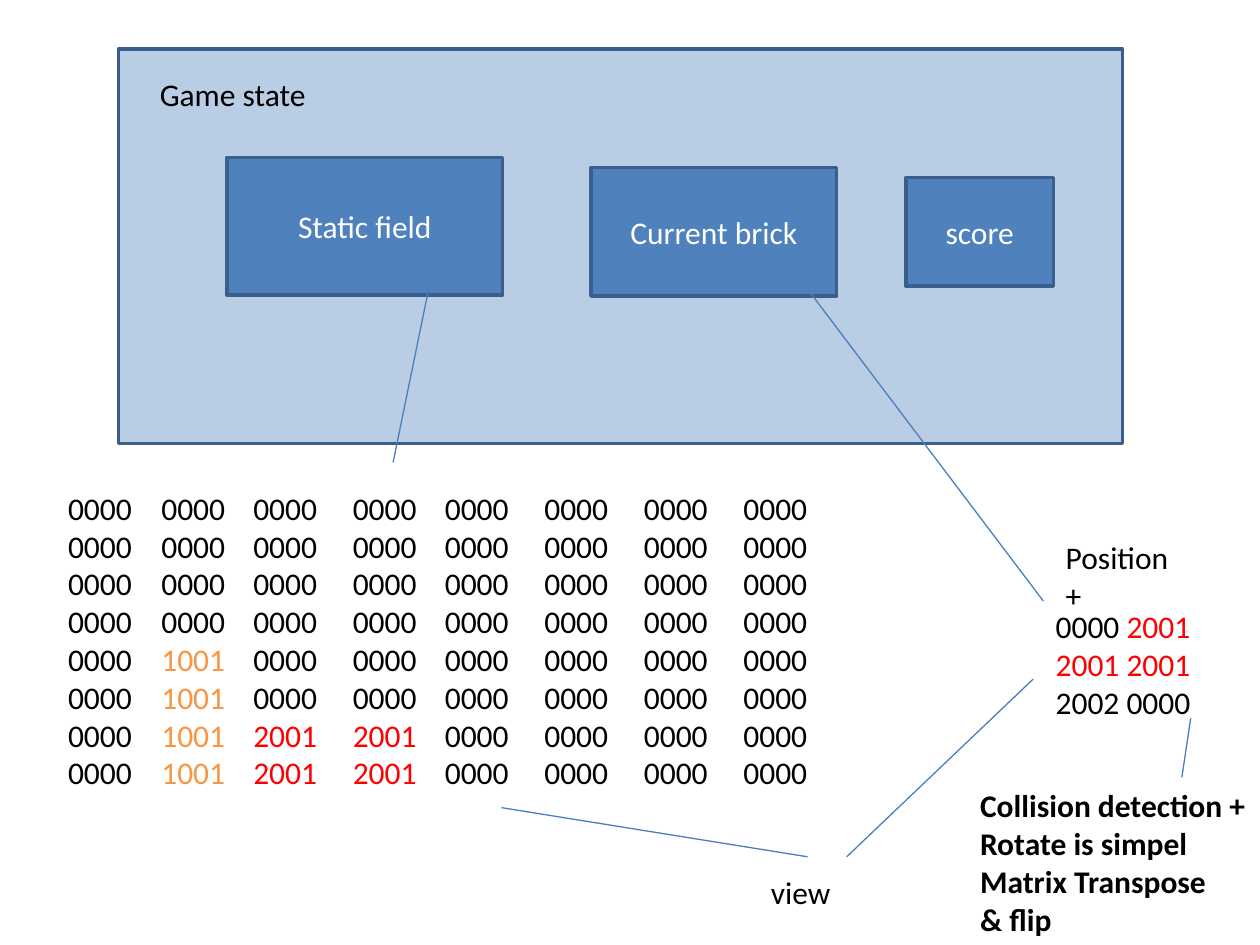
from pptx import Presentation
from pptx import util as u
from pptx.dml.color import RGBColor
from pptx.enum import shapes, text
from pptx.oxml.ns import qn
from lxml import etree

BLACK, WHITE, RED, ORANGE = "000000", "FFFFFF", "FF0000", "F79646"
PANEL, BOX, BORDER, LINK = "B9CDE5", "4F81BD", "3A5F8C", "4B7EBC"


def color(value):
    """Turn a hex string into a colour."""
    return RGBColor.from_string(value)


def child(parent, tag, **attributes):
    """Append an XML element with attributes."""
    element = etree.SubElement(parent, qn(tag))
    for name, value in attributes.items():
        element.set(name, str(value))
    return element


def write(paragraph, content, fill=BLACK, bold=False, size=18, font="Calibri"):
    """Add formatted text; a newline becomes a line break."""
    for index, line in enumerate(content.split("\n")):
        if index:
            paragraph.add_line_break()
        run = paragraph.add_run()
        run.text = line
        run.font.name = font
        run.font.size = u.Pt(size)
        run.font.bold = bold
        run.font.color.rgb = color(fill)


def hang(paragraph, indent, start=None):
    """Give a hanging indent and, with start, automatic numbers."""
    properties = paragraph._p.get_or_add_pPr()
    properties.set("marL", str(u.Inches(indent)))
    properties.set("indent", str(-u.Inches(indent)))
    if start:
        child(properties, "a:buFont", typeface="+mj-lt")
        child(properties, "a:buAutoNum", type="arabicPlain", startAt=start)


def set_tabs(paragraph, stops):
    """Set left tab stops, in inches."""
    tabs = child(paragraph._p.get_or_add_pPr(), "a:tabLst")
    for stop in stops:
        child(tabs, "a:tab", pos=u.Inches(stop), algn="l")


class Sketch:
    """Holds the slide and the style of its elements."""

    def __init__(self, slide):
        """Keep the slide to draw on."""
        self.slide = slide

    def box(self, left, top, width, height, fill=BOX, label=None):
        """Draw a bordered rectangle with an optional centred label."""
        shape = self.slide.shapes.add_shape(
            shapes.MSO_SHAPE.RECTANGLE, *map(u.Inches, (left, top, width, height)))
        shape.shadow.inherit = False
        shape.fill.solid()
        shape.fill.fore_color.rgb = color(fill)
        shape.line.color.rgb = color(BORDER)
        shape.line.width = u.Pt(2)
        if label:
            shape.text_frame.vertical_anchor = text.MSO_ANCHOR.MIDDLE
            paragraph = shape.text_frame.paragraphs[0]
            paragraph.alignment = text.PP_ALIGN.CENTER
            write(paragraph, label, fill=WHITE)

    def note(self, left, top, width, height, rows, wrap=False, bold=False):
        """Add a text box; each row is a list of (text, colour) runs."""
        shape = self.slide.shapes.add_textbox(*map(u.Inches, (left, top, width, height)))
        frame = shape.text_frame
        frame.word_wrap = wrap
        for index, row in enumerate(rows):
            paragraph = frame.add_paragraph() if index else frame.paragraphs[0]
            for content, fill in row:
                write(paragraph, content, fill=fill, bold=bold)
        return frame

    def link(self, *ends):
        """Draw a thin straight line from x, y to x, y."""
        line = self.slide.shapes.add_connector(
            shapes.MSO_CONNECTOR.STRAIGHT, *map(u.Inches, ends))
        line.line.color.rgb = color(LINK)
        line.line.width = u.Pt(0.75)
        child(line._element.spPr, "a:effectLst")


presentation = Presentation()
presentation.slide_width, presentation.slide_height = u.Inches(10), u.Inches(7.5)
sketch = Sketch(presentation.slides.add_slide(presentation.slide_layouts[6]))

sketch.box(0.94, 0.39, 7.97, 3.13, fill=PANEL)
sketch.box(1.8, 1.25, 2.19, 1.09, label="Static field")
sketch.box(4.69, 1.33, 1.95, 1.02, label="Current brick")
sketch.box(7.19, 1.41, 1.17, 0.86, label="score")
sketch.note(1.17, 0.55, 1.37, 0.4, [[("Game state", BLACK)]])

# Static field: eight cells a row, aligned by tab stops
CELL_COLORS = {"0000": BLACK, "1001": ORANGE, "2001": RED}
FIELD = ([["0000"] * 8] * 4
         + [["0000", "1001"] + ["0000"] * 6] * 2
         + [["0000", "1001", "2001", "2001"] + ["0000"] * 4] * 2)
field_rows = [[("\t" * (column > 0) + cell, CELL_COLORS[cell])
               for column, cell in enumerate(row)] for row in FIELD]
field = sketch.note(0.39, 3.83, 6.21, 3.13, field_rows, wrap=True)
field.margin_left = u.Inches(0.15)
for paragraph in field.paragraphs:
    set_tabs(paragraph, [0.74, 1.47, 2.26, 2.99, 3.78, 4.57, 5.36])

# Current brick: the last two rows are numbered from 2001
brick = sketch.note(8.28, 4.77, 1.33, 1.01, [
    [("0000", BLACK), (" 2001", RED)], [(" 2001 ", RED)], [(" 0000 ", BLACK)]], wrap=True)
for paragraph, start in zip(brick.paragraphs, (None, 2001, 2001)):
    hang(paragraph, 0.38, start)

sketch.note(8.36, 4.22, 1.02, 0.71, [[("Position", BLACK)], [("+", BLACK)]])
sketch.note(6.02, 6.88, 0.68, 0.4, [[("view", BLACK)]])
sketch.note(7.68, 6.19, 2.32, 1.31, [
    [("Collision detection +\nRotate is simpel", BLACK)],
    [("Matrix Transpose", BLACK)], [("& flip", BLACK)]], bold=True)

for ends in [(3.44, 2.11, 3.12, 3.67), (6.33, 2.19, 8.28, 4.77),
             (3.98, 6.41, 6.41, 6.8), (8.2, 5.39, 6.72, 6.8),
             (9.45, 5.7, 9.38, 6.17)]:
    sketch.link(*ends)

presentation.save("out.pptx")
